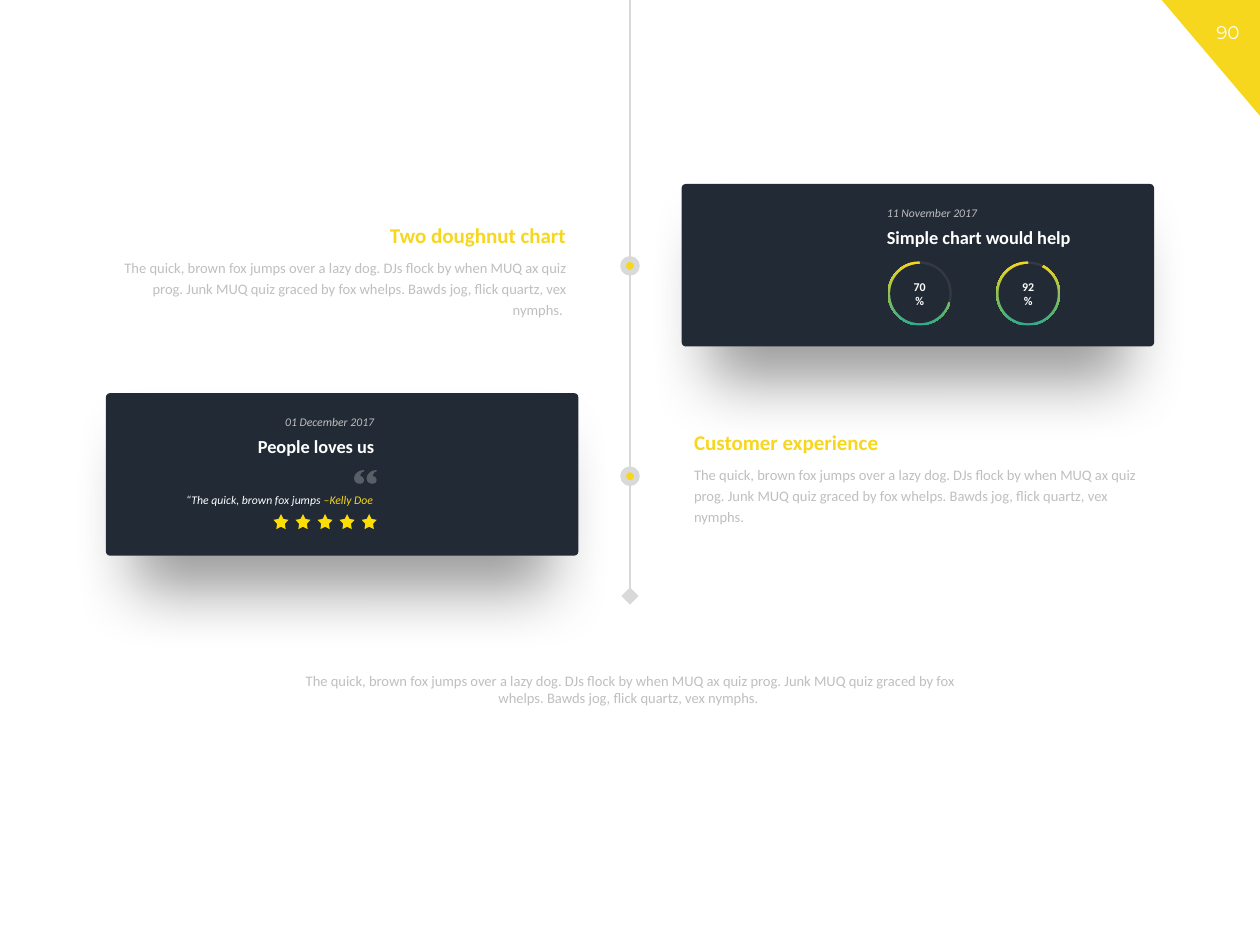
from lxml import etree
from pptx import Presentation
from pptx.chart.data import CategoryChartData
from pptx.dml.color import RGBColor
from pptx.enum import chart as charts, shapes, text
from pptx.oxml import parse_xml
from pptx.oxml.ns import nsdecls, qn
from pptx.util import Inches, Pt

COLORS = {"yellow": "F6D71E", "green": "2FAB8D", "star": "FCDE04", "card": "222A35",
          "axis": "D9D9D9", "muted": "BFBFBF", "white": "FFFFFF", "black": "000000"}
PANGRAM = ("The quick, brown fox jumps over a lazy dog. DJs flock by when MUQ ax quiz prog. "
           "Junk MUQ quiz graced by fox whelps. Bawds jog, flick quartz, vex nymphs.")
LEFT, CENTER, RIGHT = text.PP_ALIGN.LEFT, text.PP_ALIGN.CENTER, text.PP_ALIGN.RIGHT
SHAPE = shapes.MSO_SHAPE
CARD_W, CARD_H = 3.75, 1.29
BODY_SIZE, SMALL_SIZE = 8.3, 6.7


def rgb(name):
    return RGBColor.from_string(COLORS[name])


def style_font(font, size, color, bold=False, italic=False, name="Calibri"):
    font.size, font.name, font.bold, font.italic = Pt(size), name, bold, italic
    font.color.rgb = rgb(color)


def fill_gradient(fill, angle):
    """Fade from yellow to green; the angle runs counter-clockwise."""
    fill.gradient()
    fill.gradient_angle = angle
    for stop, color, position in zip(fill.gradient_stops, ("yellow", "green"), (0, 1)):
        stop.color.rgb = rgb(color)
        stop.position = position


def set_alpha(fill, percent):
    """Make a solid fill translucent."""
    color = fill._xPr.find(qn("a:solidFill"))[0]
    etree.SubElement(color, qn("a:alpha")).set("val", str(percent * 1000))


def add_label(slide, box, parts, size, align=LEFT, spacing=1.2, **font):
    """Add one paragraph whose parts are (words, color) pairs."""
    frame = slide.shapes.add_textbox(*map(Inches, box)).text_frame
    frame.word_wrap = True
    frame.auto_size = text.MSO_AUTO_SIZE.SHAPE_TO_FIT_TEXT
    paragraph = frame.paragraphs[0]
    paragraph.alignment, paragraph.line_spacing = align, spacing
    for words, color in parts:
        run = paragraph.add_run()
        run.text = words
        style_font(run.font, size, color, **font)
    return paragraph


def add_solid(slide, kind, box, color):
    solid = slide.shapes.add_shape(kind, *map(Inches, box))
    solid.shadow.inherit = False
    solid.fill.solid()
    solid.fill.fore_color.rgb = rgb(color)
    solid.line.fill.background()
    return solid


def add_page_corner(slide, number):
    corner = add_solid(slide, SHAPE.RIGHT_TRIANGLE, (9.22, 0, 0.78, 0.92), "yellow")
    corner.rotation = 180
    add_label(slide, (9.49, 0.12, 0.51, 0.28), [(number, "white")], 10.5, CENTER, 1,
              name="Montserrat")


def add_axis(slide, x, bottom):
    axis = slide.shapes.add_connector(shapes.MSO_CONNECTOR.STRAIGHT, Inches(x), 0,
                                      Inches(x), Inches(bottom))
    axis.line.color.rgb, axis.line.width = rgb("axis"), Pt(1.25)
    etree.SubElement(axis.line._get_or_add_ln(), qn("a:tailEnd"), type="diamond",
                     w="lg", len="lg")
    etree.SubElement(axis._element.spPr, qn("a:effectLst"))


def add_milestone(slide, x, y, size=0.11):
    dot = add_solid(slide, SHAPE.OVAL, (x - size / 2, y - size / 2, size, size), "yellow")
    dot.line.color.rgb, dot.line.width = rgb("axis"), Pt(3.25)


def add_story(slide, left, top, heading, body, align):
    title = add_label(slide, (left, top, CARD_W, 0.34), [(heading, "yellow")], 12, align,
                      bold=True)
    fill_gradient(title.runs[0].font.fill, 0)
    add_label(slide, (left, top + 0.3, CARD_W, 0.6), [(body, "muted")], BODY_SIZE, align)


def add_card(slide, left, top, text_left, date, heading, align):
    """Add a dark card with a soft shadow, a date and a heading."""
    card = add_solid(slide, SHAPE.ROUNDED_RECTANGLE, (left, top, CARD_W, CARD_H), "card")
    card.adjustments[0] = 0.026
    effects = card._element.spPr.find(qn("a:effectLst"))
    effects.append(parse_xml(
        f'<a:outerShdw {nsdecls("a")} blurRad="{Pt(37)}" dist="{Pt(29)}" dir="5400000" '
        f'sx="88000" sy="90000" algn="t" rotWithShape="0">'
        f'<a:srgbClr val="{COLORS["black"]}"><a:alpha val="40000"/></a:srgbClr>'
        '</a:outerShdw>'))
    add_label(slide, (text_left, top + 0.1, 2.11, 0.24), [(date, "muted")], SMALL_SIZE, align,
              italic=True)
    add_label(slide, (text_left, top + 0.25, 2.11, 0.31), [(heading, "white")], 10.5, align,
              bold=True)


def add_gauge(slide, left, top, percent, width=0.78, height=0.96):
    """Add a pie whose middle is covered by a disc, leaving a thin ring."""
    data = CategoryChartData()
    data.categories = ["1", "2"]
    data.add_series("Series 1", (100 - percent, percent))
    chart = slide.shapes.add_chart(charts.XL_CHART_TYPE.PIE,
                                   *map(Inches, (left, top, width, height)), data).chart
    chart.has_legend = chart.has_title = False
    style_font(chart.font, 10, "black")
    plot = chart.plots[0]
    plot.vary_by_categories = False
    rest, reached = (plot.series[0].points[i].format for i in range(2))
    rest.fill.solid()
    rest.fill.fore_color.rgb = rgb("white")
    set_alpha(rest.fill, 8)
    fill_gradient(reached.fill, 270)
    for part in (rest, reached):
        part.line.fill.background()

    ring = 0.51
    ring_w, ring_h = ring / width, ring / height
    plot_area = chart._chartSpace.chart.plotArea
    for layout in plot_area.findall(qn("c:layout")):
        plot_area.remove(layout)
    plot_area.insert(0, parse_xml(
        f'<c:layout {nsdecls("c")}><c:manualLayout><c:layoutTarget val="inner"/>'
        '<c:xMode val="edge"/><c:yMode val="edge"/>'
        f'<c:x val="{(1 - ring_w) / 2:.3f}"/><c:y val="{(1 - ring_h) / 2:.3f}"/>'
        f'<c:w val="{ring_w:.3f}"/><c:h val="{ring_h:.3f}"/></c:manualLayout></c:layout>'))
    chart._chartSpace.chart.addnext(parse_xml(
        f'<c:spPr {nsdecls("c", "a")}><a:noFill/><a:ln><a:noFill/></a:ln></c:spPr>'))

    hole = 0.47
    disc = add_solid(slide, SHAPE.OVAL, (left + (width - hole) / 2,
                                         top + (height - hole) / 2, hole, hole), "card")
    frame = disc.text_frame
    frame.text = f"{percent}%"
    frame.word_wrap = True
    frame.vertical_anchor = text.MSO_ANCHOR.MIDDLE
    frame.paragraphs[0].alignment = CENTER
    style_font(frame.paragraphs[0].runs[0].font, 6.8, "white", bold=True)


def add_quote_mark(slide, left, top):
    """Draw two commas, in thousandths of an inch."""
    comma = [(80, 0), (80, 10), (60, 20), (50, 40), (51, 49), (68, 55), (80, 78), (74, 100),
             (50, 110), (22, 105), (5, 88), (0, 65), (8, 38), (30, 15), (52, 5)]
    builder = slide.shapes.build_freeform(*comma[0], scale=Inches(0.001))
    builder.add_line_segments(comma[1:])
    second = [(x + 100, y) for x, y in comma]
    builder.move_to(*second[0])
    builder.add_line_segments(second[1:])
    mark = builder.convert_to_shape(Inches(left), Inches(top))
    mark.shadow.inherit = False
    mark.fill.solid()
    mark.fill.fore_color.rgb = rgb("white")
    set_alpha(mark.fill, 25)
    mark.line.fill.background()


def add_review(slide, left, top, quote, author, stars=5):
    """Add a quote mark, a quotation and a row of stars, all ending at the right."""
    add_quote_mark(slide, left + 1.54, top)
    add_label(slide, (left, top + 0.13, 1.79, 0.21), [(quote, "white"), (author, "yellow")],
              SMALL_SIZE, RIGHT, 1, italic=True)
    for i in range(stars):
        star = add_solid(slide, SHAPE.STAR_5_POINT,
                         (left + 0.9 + 0.175 * i, top + 0.35, 0.12, 0.12), "star")
        star.adjustments[0] = 0.257


def main():
    deck = Presentation()
    deck.slide_width, deck.slide_height = Inches(10), Inches(7.5)
    slide = deck.slides.add_slide(deck.slide_layouts[6])

    add_page_corner(slide, "90")
    add_axis(slide, 5, 4.73)
    add_card(slide, 5.41, 1.46, 6.94, "11 November 2017", "Simple chart would help", LEFT)
    add_story(slide, 0.84, 1.68, "Two doughnut chart", PANGRAM + " ", RIGHT)
    add_card(slide, 0.84, 3.12, 0.96, "01 December 2017", "People loves us", RIGHT)
    add_story(slide, 5.41, 3.32, "Customer experience", PANGRAM, LEFT)
    for y in (2.11, 3.78):
        add_milestone(slide, 5, y)
    for left, percent in ((6.91, 70), (7.77, 92)):
        add_gauge(slide, left, 1.85, percent)
    add_review(slide, 1.27, 3.73, "“The quick, brown fox jumps ", "–Kelly Doe")
    add_label(slide, (2.25, 5.28, 5.5, 0.38), [(PANGRAM + " ", "muted")], BODY_SIZE, CENTER, 1)
    deck.save("out.pptx")


if __name__ == "__main__":
    main()
